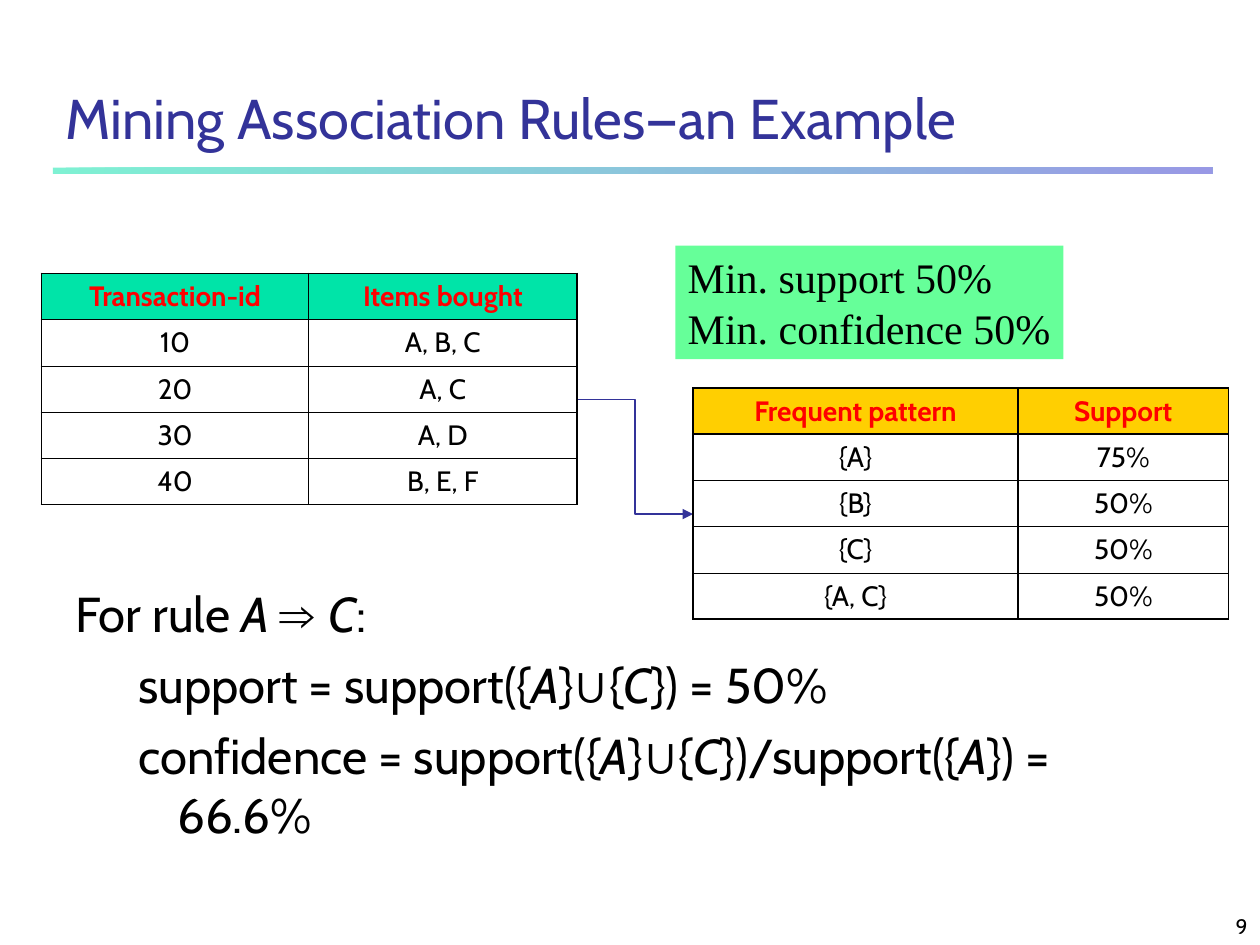
from pptx import Presentation
from pptx import util as u
from pptx.dml.color import RGBColor
from pptx.enum import shapes, text
from pptx.oxml.ns import qn
from lxml import etree

BLACK = RGBColor(0x00, 0x00, 0x00)
RED = RGBColor(0xFF, 0x00, 0x00)
NAVY = RGBColor(0x33, 0x33, 0x99)
INDIGO = RGBColor(0x33, 0x33, 0xCC)
TEAL = RGBColor(0x00, 0xE4, 0xA8)
AMBER = RGBColor(0xFF, 0xCF, 0x01)
MINT = RGBColor(0x66, 0xFF, 0x99)
THICK, THIN = 1.08, 0.45
ROW_HEIGHT = 1.83 / 5

TRANSACTIONS = [
    ("Transaction-id", "Items bought"),
    ("10", "A, B, C"),
    ("20", "A, C"),
    ("30", "A, D"),
    ("40", "B, E, F"),
]
PATTERNS = [
    ("Frequent pattern", "Support"),
    ("{A}", "75%"),
    ("{B}", "50%"),
    ("{C}", "50%"),
    ("{A, C}", "50%"),
]
RULE_LINES = [
    "For rule |A |⇒ |C|:",
    "support = support({|A|}|∪|{|C|}) = 50%",
    "confidence = support({|A|}|∪|{|C|})/support({|A|}) = 66.6%",
]


def box(*lengths):
    return [u.Inches(n) for n in lengths]


def add_run(p, words, size, color=BLACK, **extra):
    r = p.add_run()
    r.text = words
    r.font.color.rgb = color
    fmt = {"name": "Cabin", "size": u.Pt(size), **extra}
    for key, value in fmt.items():
        setattr(r.font, key, value)


def format_frame(tf, **fmt):
    fmt = {"word_wrap": True, "auto_size": text.MSO_AUTO_SIZE.NONE, **fmt}
    for key, value in fmt.items():
        setattr(tf, key, value)


def add_title(s, words):
    sp = s.shapes.title
    sp.left, sp.top, sp.width, sp.height = box(0.42, 0.42, 9.17, 0.83)
    format_frame(sp.text_frame, vertical_anchor=text.MSO_ANCHOR.BOTTOM)
    p = sp.text_frame.paragraphs[0]
    p.alignment = text.PP_ALIGN.LEFT
    add_run(p, words, 32, NAVY)


def add_rectangle(s, *place):
    sp = s.shapes.add_shape(shapes.MSO_SHAPE.RECTANGLE, *box(*place))
    sp.shadow.inherit = False
    sp.line.fill.background()
    return sp


def add_title_bar(s):
    sp = add_rectangle(s, 0.42, 1.33, 9.2, 0.05)
    sp.fill.gradient()
    sp.fill.gradient_angle = 0
    for stop, color, position in zip(sp.fill.gradient_stops, (TEAL, INDIGO), (0, 1)):
        stop.color.rgb = color
        stop.position = position
    for color in sp._element.spPr.iter(qn("a:srgbClr")):
        etree.SubElement(color, qn("a:alpha"), val="50000")


def add_thresholds(s):
    sp = add_rectangle(s, 5.36, 1.95, 3.08, 0.9)
    sp.fill.solid()
    sp.fill.fore_color.rgb = MINT
    tf = sp.text_frame
    format_frame(tf, word_wrap=False, vertical_anchor=text.MSO_ANCHOR.MIDDLE,
                 auto_size=text.MSO_AUTO_SIZE.SHAPE_TO_FIT_TEXT)
    for i, words in enumerate(("Min. support 50%", "Min. confidence 50%")):
        p = tf.add_paragraph() if i else tf.paragraphs[0]
        p.alignment = text.PP_ALIGN.LEFT
        add_run(p, words, 24, name="Times New Roman")


def add_rule(s):
    tf = s.shapes.add_textbox(*box(0.5, 4.58, 8.96, 2.41)).text_frame
    format_frame(tf)
    for i, line in enumerate(RULE_LINES):
        p = tf.add_paragraph() if i else tf.paragraphs[0]
        p.level = min(i, 1)
        p.space_before = u.Pt(7)
        margin, indent = (0.81, -0.31) if i else (0.38, -0.38)
        pPr = p._p.get_or_add_pPr()
        pPr.set("marL", str(u.Inches(margin)))
        pPr.set("indent", str(u.Inches(indent)))
        for part in line.split("|"):
            token = part.strip()
            font = "Arial" if token in ("⇒", "∪") else "Cabin"
            add_run(p, part, 28, name=font, italic=token in ("A", "C"))


def set_borders(cell, top, bottom):
    tcPr = cell._tc.get_or_add_tcPr()
    for side, width in (("L", THICK), ("R", THICK), ("T", top), ("B", bottom)):
        ln = etree.SubElement(tcPr, qn(f"a:ln{side}"), w=str(u.Pt(width)))
        fill = etree.SubElement(ln, qn("a:solidFill"))
        etree.SubElement(fill, qn("a:srgbClr"), val=str(BLACK))


def add_data_table(s, left, top, widths, rows, head_color):
    place = box(left, top, sum(widths), ROW_HEIGHT * len(rows))
    table = s.shapes.add_table(len(rows), len(widths), *place).table
    table.first_row = table.horz_banding = False
    for column, width in zip(table.columns, widths):
        column.width = u.Inches(width)
    last = len(rows) - 1
    for i, row in enumerate(rows):
        for j, words in enumerate(row):
            cell = table.cell(i, j)
            set_borders(cell, THICK if i < 2 else THIN, THICK if i in (0, last) else THIN)
            if i:
                cell.fill.background()
            else:
                cell.fill.solid()
                cell.fill.fore_color.rgb = head_color
            p = cell.text_frame.paragraphs[0]
            p.alignment = text.PP_ALIGN.CENTER
            p.space_before = u.Pt(4)
            add_run(p, words, 16, BLACK if i else RED, bold=i == 0)


def add_arrow(s):
    c = s.shapes.add_connector(shapes.MSO_CONNECTOR.ELBOW, *box(4.58, 3.17, 5.5, 4.08))
    c.line.color.rgb = NAVY
    c.line.width = u.Pt(0.75)
    etree.SubElement(c.line._get_or_add_ln(), qn("a:tailEnd"), type="triangle")
    etree.SubElement(c._element.spPr, qn("a:effectLst"))


def add_page_number(s, number):
    tf = s.shapes.add_textbox(*box(7.92, 7.08, 2.08, 0.42)).text_frame
    format_frame(tf, vertical_anchor=text.MSO_ANCHOR.BOTTOM)
    p = tf.paragraphs[0]
    p.alignment = text.PP_ALIGN.RIGHT
    add_run(p, number, 12)


def main():
    prs = Presentation()
    prs.slide_width, prs.slide_height = box(10, 7.5)
    s = prs.slides.add_slide(prs.slide_layouts[5])
    add_title_bar(s)
    add_page_number(s, "9")
    add_title(s, "Mining Association Rules—an Example")
    add_rule(s)
    add_thresholds(s)
    add_arrow(s)
    add_data_table(s, 0.33, 2.17, (2.12, 2.13), TRANSACTIONS, TEAL)
    add_data_table(s, 5.5, 3.08, (2.58, 1.67), PATTERNS, AMBER)
    prs.save("out.pptx")


if __name__ == "__main__":
    main()
